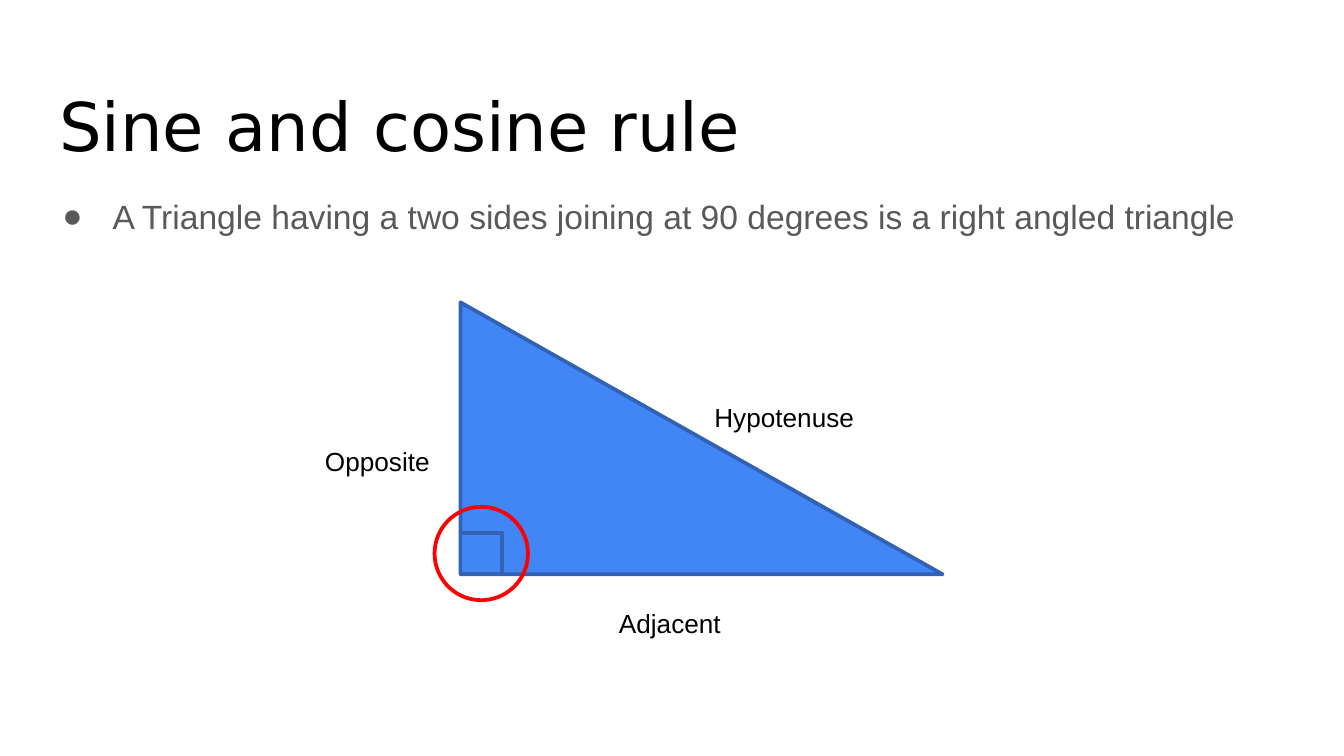
from lxml.etree import SubElement
from pptx import Presentation
from pptx.dml.color import RGBColor
from pptx.enum.shapes import MSO_SHAPE
from pptx.enum.text import MSO_ANCHOR, MSO_AUTO_SIZE, PP_ALIGN
from pptx.oxml.ns import qn
from pptx.util import Pt

BLUE, DARK_BLUE, RED = "4285F4", "3162B5", "FF0000"
BLACK, GREY = "000000", "595959"


def color(hex_value):
    return RGBColor.from_string(hex_value)


def place(shape, left, top, width, height):
    shape.left, shape.top = Pt(left), Pt(top)
    shape.width, shape.height = Pt(width), Pt(height)


def format_runs(paragraph, size, font_name, hex_value):
    for run in paragraph.runs:
        run.font.size = Pt(size)
        run.font.name = font_name
        run.font.color.rgb = color(hex_value)


def set_title(slide, text):
    title = slide.shapes.title
    place(title, 24.5, 35, 671, 45)
    frame = title.text_frame
    frame.text = text
    frame.auto_size = MSO_AUTO_SIZE.NONE
    frame.vertical_anchor = MSO_ANCHOR.TOP
    frame.margin_left = frame.margin_right = frame.margin_bottom = Pt(7.2)
    frame.margin_top = Pt(10)
    paragraph = frame.paragraphs[0]
    paragraph.alignment = PP_ALIGN.LEFT
    paragraph.line_spacing = 1.0
    paragraph.space_before = Pt(0)
    format_runs(paragraph, 36, "DejaVu Sans", BLACK)


def add_bullet(slide, text):
    box = slide.shapes.add_textbox(Pt(17.3), Pt(94.3), Pt(671), Pt(45))
    frame = box.text_frame
    frame.word_wrap = True
    frame.margin_left = frame.margin_right = Pt(7.2)
    frame.margin_top = frame.margin_bottom = Pt(7.2)
    frame.text = text
    paragraph = frame.paragraphs[0]
    paragraph.line_spacing = 1.15
    properties = paragraph._p.get_or_add_pPr()
    properties.set("marL", str(Pt(36)))
    properties.set("indent", str(Pt(-27)))
    bullet_color = SubElement(properties, qn("a:buClr"))
    SubElement(bullet_color, qn("a:srgbClr"), val=GREY)
    SubElement(properties, qn("a:buFont"), typeface="Arial")
    SubElement(properties, qn("a:buChar"), char="●")
    format_runs(paragraph, 18, "Arial", GREY)


def add_outlined_shape(slide, kind, bounds, line, fill=None):
    shape = slide.shapes.add_shape(kind, *map(Pt, bounds))
    shape.shadow.inherit = False
    if fill:
        shape.fill.solid()
        shape.fill.fore_color.rgb = color(fill)
    else:
        shape.fill.background()
    shape.line.color.rgb = color(line)
    shape.line.width = Pt(2)


def add_label(slide, text, left, top, width):
    box = slide.shapes.add_textbox(Pt(left), Pt(top), Pt(width), Pt(24.5))
    frame = box.text_frame
    frame.word_wrap = False
    frame.auto_size = MSO_AUTO_SIZE.SHAPE_TO_FIT_TEXT
    frame.text = text
    format_runs(frame.paragraphs[0], 14, "Arial", BLACK)


def main():
    presentation = Presentation()
    presentation.slide_width, presentation.slide_height = Pt(720), Pt(405)
    slide = presentation.slides.add_slide(presentation.slide_layouts[5])

    # Heading and definition
    set_title(slide, "Sine and cosine rule")
    add_bullet(slide, "A Triangle having a two sides joining at 90 degrees "
                      "is a right angled triangle")

    # Triangle and the names of its sides
    left, top, width, height = 246.7, 162, 258.3, 145.7
    add_outlined_shape(slide, MSO_SHAPE.RIGHT_TRIANGLE,
                       (left, top, width, height), DARK_BLUE, BLUE)
    add_label(slide, "Opposite", 167, 235, 71)
    add_label(slide, "Adjacent", 324.5, 321.8, 69)
    add_label(slide, "Hypotenuse", 375.6, 211.7, 90)

    # Right-angle mark in the corner, ringed in red
    mark, ring = 22.3, 50
    mark_top = top + height - mark
    offset = (ring - mark) / 2
    add_outlined_shape(slide, MSO_SHAPE.RECTANGLE,
                       (left, mark_top, mark, mark), DARK_BLUE, BLUE)
    add_outlined_shape(slide, MSO_SHAPE.OVAL,
                       (left - offset, mark_top - offset, ring, ring), RED)

    presentation.save("out.pptx")


if __name__ == "__main__":
    main()
